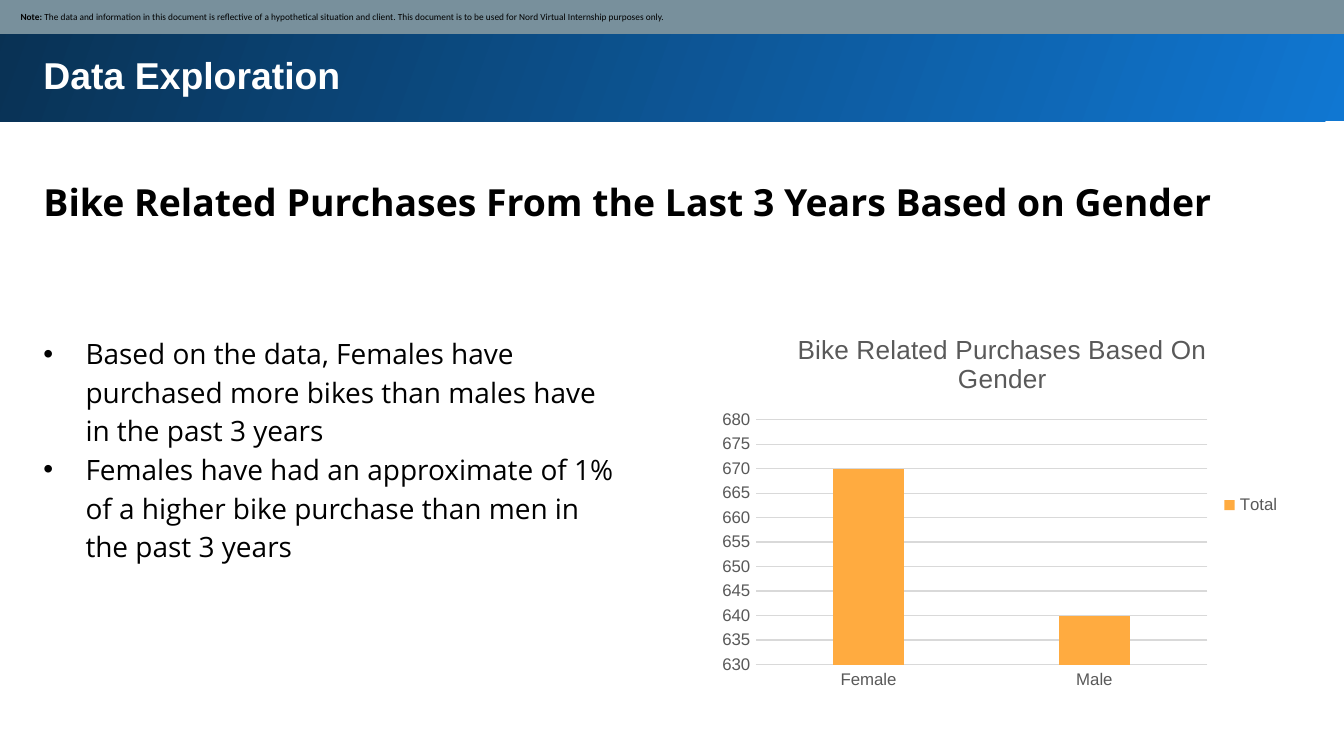
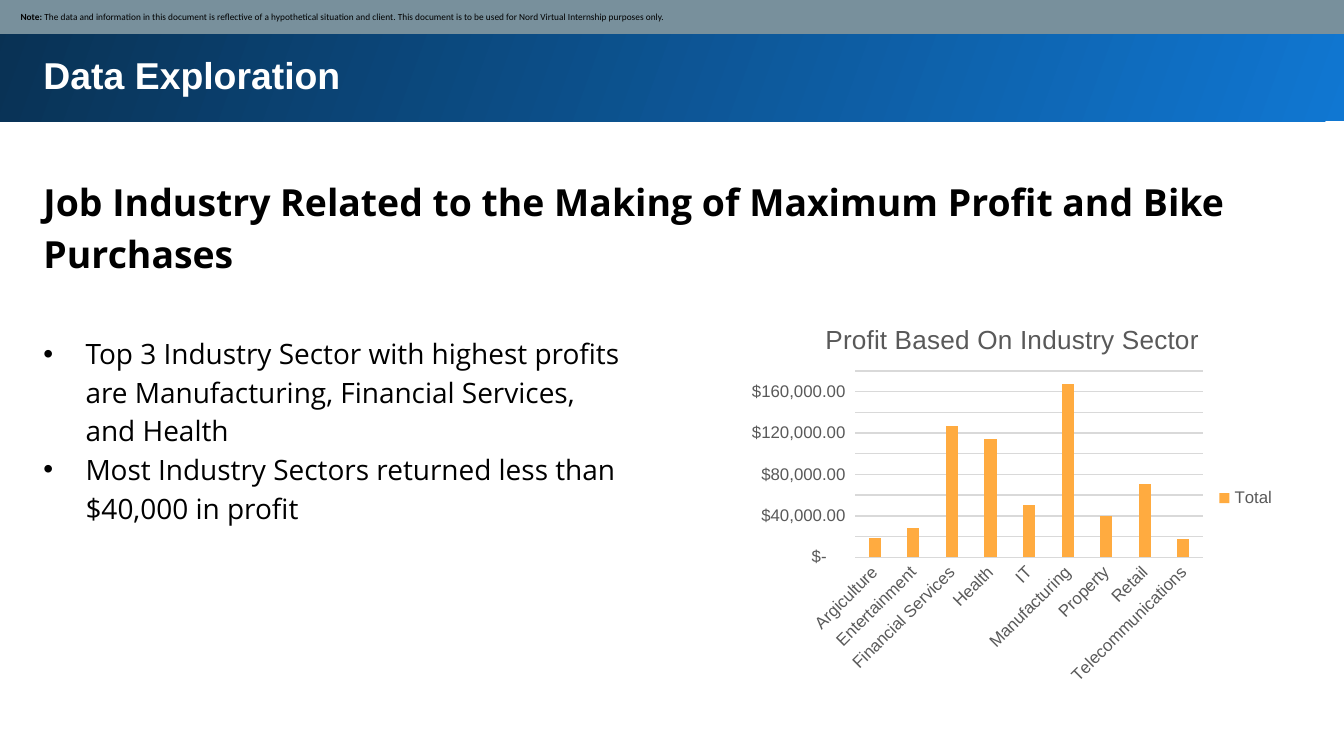
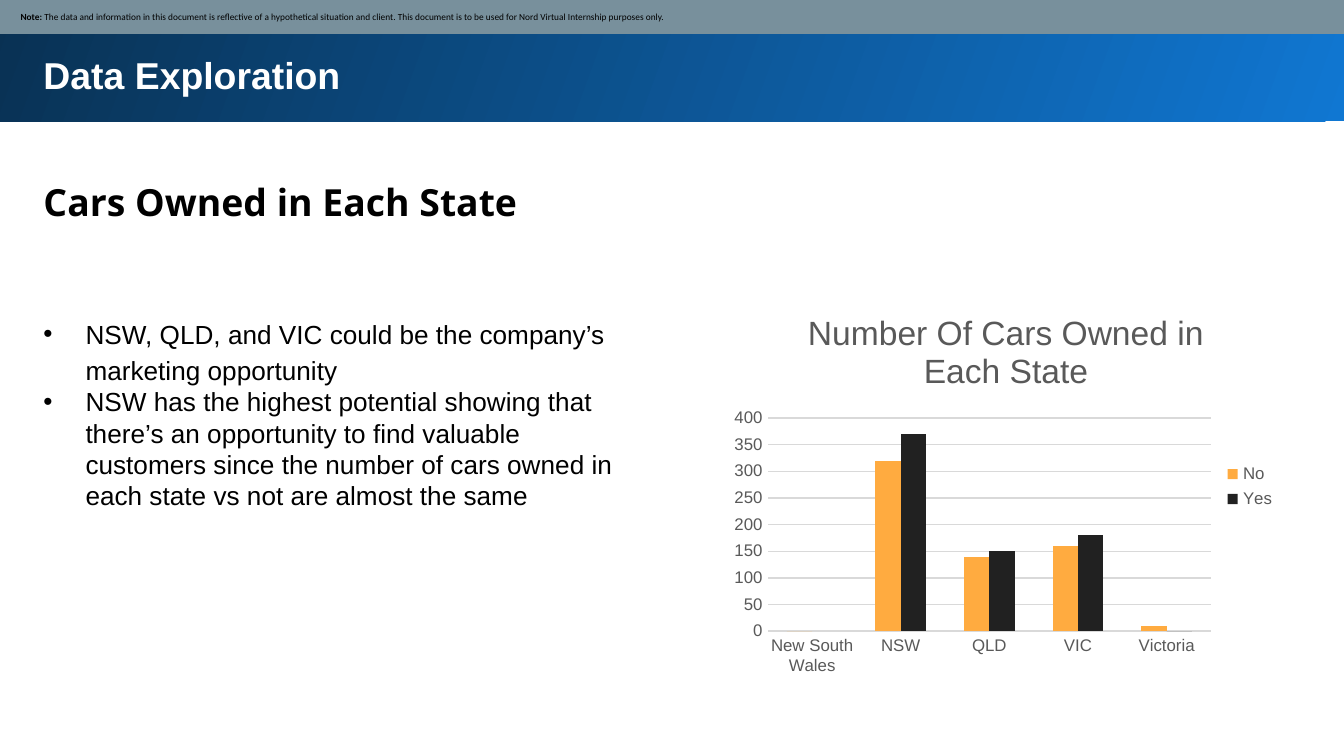
from lxml.etree import SubElement
from pptx import Presentation
from pptx.chart.data import CategoryChartData
from pptx.dml.color import RGBColor
from pptx.enum.chart import XL_CHART_TYPE, XL_LEGEND_POSITION, XL_TICK_MARK
from pptx.enum.shapes import MSO_SHAPE
from pptx.enum.text import MSO_ANCHOR, MSO_AUTO_SIZE, PP_ALIGN
from pptx.oxml.ns import qn
from pptx.util import Pt

COLORS = {
    "band_light": "1077D2",
    "band_dark": "093153",
    "note_band": "78909C",
    "white": "FFFFFF",
    "black": "000000",
    "label": "595959",
    "grid": "D9D9D9",
    "orange": "FFAB40",
    "charcoal": "212121",
}
SERIES_COLORS = ("orange", "charcoal")
HEADING_FONT = "Open Sans"
TITLE_FONT = "Arial"
NOTE_FONT = "Calibri"

TEXT_LEFT = 16.2
BAND_BOX = (-1.5, -1.5, 723.5, 66.5)
NOTE_BOX = (-0.5, -0.5, 722, 18.75)
TITLE_BOX = (TEXT_LEFT, 21, 674.5, 39)
NOTE = ("The data and information in this document is reflective of a hypothetical "
        "situation and client. This document is to be used for Nord Virtual "
        "Internship purposes only.")
DOLLARS = '_("$"* #,##0.00_);_("$"* \\(#,##0.00\\);_("$"* "-"??_);_(@_)'

PAGES = [
    {
        "heading": "Bike Related Purchases From the Last 3 Years Based on Gender",
        "heading_height": 40.5,
        "bullets": [
            "Based on the data, Females have purchased more bikes than males have "
            "in the past 3 years",
            "Females have had an approximate of 1% of a higher bike purchase than "
            "men in the past 3 years",
        ],
        "bullet_box": (TEXT_LEFT, 170.5, 325.5, 139),
        "bullet_style": {"font": HEADING_FONT, "size": 15, "spacings": (1.15, 1.15)},
        "chart_box": (380.7, 167.6, 312.5, 206),
        "chart": {
            "title": "Bike Related Purchases Based On Gender",
            "categories": ["Female", "Male"],
            "series": {"Total": [670, 640]},
            "scale": (630, 680, 5),
        },
    },
    {
        "heading": "Job Industry Related to the Making of Maximum Profit and Bike Purchases",
        "heading_height": 68.5,
        "bullets": [
            "Top 3 Industry Sector with highest profits are Manufacturing, "
            "Financial Services, and Health",
            "Most Industry Sectors returned less than $40,000 in profit",
        ],
        "bullet_box": (TEXT_LEFT, 170.5, 325.5, 118),
        "bullet_style": {"font": HEADING_FONT, "size": 15, "spacings": (1.15, 1.15)},
        "chart_box": (394.4, 162.4, 296, 209),
        "chart": {
            "title": "Profit Based On Industry Sector",
            "categories": ["Argiculture", "Entertainment", "Financial Services",
                           "Health", "IT", "Manufacturing", "Property", "Retail",
                           "Telecommunications"],
            "series": {"Total": [19000, 28000, 127000, 114000, 50000, 167000,
                                 40000, 71000, 18000]},
            "scale": (0, 180000, 20000),
            "number_format": DOLLARS,
            "label_angle": -45,
        },
    },
    {
        "heading": "Cars Owned in Each State",
        "heading_height": 40.5,
        "bullets": [
            "NSW, QLD, and VIC could be the company’s marketing opportunity",
            "NSW has the highest potential showing that there’s an opportunity to "
            "find valuable customers since the number of cars owned in each state "
            "vs not are almost the same",
        ],
        "bullet_box": (TEXT_LEFT, 160.8, 325.5, 124),
        "bullet_style": {"font": TITLE_FONT, "size": 14, "spacings": (1.15, 1)},
        "chart_box": (387.4, 155.2, 303, 211),
        "chart": {
            "title": "Number Of Cars Owned in Each State",
            "title_size": 18,
            "categories": ["New South Wales", "NSW", "QLD", "VIC", "Victoria"],
            "series": {"No": [0, 320, 140, 160, 10],
                       "Yes": [None, 370, 150, 180, 0]},
            "scale": (0, 400, 50),
            "gap": 150,
            "overlap": 0,
        },
    },
]


def color(name):
    return RGBColor.from_string(COLORS[name])


def points(box):
    return [Pt(length) for length in box]


def style_font(font, name, size, tone, bold=None):
    font.name = name
    font.size = Pt(size)
    font.color.rgb = color(tone)
    font.bold = bold


def add_band(page, box):
    band = page.shapes.add_shape(MSO_SHAPE.RECTANGLE, *points(box))
    band.shadow.inherit = False
    band.line.fill.background()
    return band


def add_text(page, box, lines, font, size, tone="black", bold=None, spacings=None):
    text_box = page.shapes.add_textbox(*points(box))
    frame = text_box.text_frame
    frame.word_wrap = True
    frame.auto_size = MSO_AUTO_SIZE.SHAPE_TO_FIT_TEXT
    frame.margin_left = frame.margin_right = Pt(7.2)
    frame.margin_top = frame.margin_bottom = Pt(7.2)
    frame.text = "\n".join(lines)
    for index, para in enumerate(frame.paragraphs):
        style_font(para.font, font, size, tone, bold)
        if spacings:
            para.line_spacing = spacings[index]
    return frame


def add_header(page):
    fill = add_band(page, BAND_BOX).fill
    fill.gradient()
    fill.gradient_angle = 160
    for stop, tone in zip(fill.gradient_stops, ("band_light", "band_dark")):
        stop.color.rgb = color(tone)
    add_text(page, TITLE_BOX, ["Data Exploration"], TITLE_FONT, 20, "white", True)


def add_note(page):
    band = add_band(page, NOTE_BOX)
    band.fill.solid()
    band.fill.fore_color.rgb = color("note_band")
    frame = band.text_frame
    frame.word_wrap = True
    frame.vertical_anchor = MSO_ANCHOR.MIDDLE
    frame.margin_left = Pt(11.5)
    frame.margin_right = frame.margin_top = frame.margin_bottom = Pt(3.6)
    para = frame.paragraphs[0]
    para.alignment = PP_ALIGN.LEFT
    style_font(para.font, NOTE_FONT, 5, "black")
    for text, bold in (("Note: ", True), (NOTE, False)):
        span = para.add_run()
        span.text = text
        span.font.bold = bold


def add_bullets(page, box, lines, style):
    frame = add_text(page, box, lines, **style)
    for para in frame.paragraphs:
        properties = para._p.get_or_add_pPr()
        properties.set("marL", str(Pt(22.5)))
        properties.set("indent", str(-Pt(22.5)))
        SubElement(properties, qn("a:buFont")).set("typeface", "Arial")
        SubElement(properties, qn("a:buChar")).set("char", "•")


def style_axis(axis):
    axis.major_tick_mark = axis.minor_tick_mark = XL_TICK_MARK.NONE
    style_font(axis.tick_labels.font, TITLE_FONT, 9, "label")


def style_line(line):
    line.color.rgb = color("grid")
    line.width = Pt(0.75)


def add_column_chart(page, box, title, categories, series, scale, title_size=14,
                     number_format="General", label_angle=None, gap=219, overlap=-27):
    data = CategoryChartData()
    data.categories = categories
    for name, values in series.items():
        data.add_series(name, values)
    frame = page.shapes.add_chart(XL_CHART_TYPE.COLUMN_CLUSTERED, *points(box), data)
    chart = frame.chart
    style_font(chart.font, TITLE_FONT, 10, "black")

    chart.has_title = True
    chart.chart_title.include_in_layout = False
    heading = chart.chart_title.text_frame
    heading.text = title
    style_font(heading.paragraphs[0].font, TITLE_FONT, title_size, "label", False)

    chart.has_legend = True
    chart.legend.position = XL_LEGEND_POSITION.RIGHT
    chart.legend.include_in_layout = False
    style_font(chart.legend.font, TITLE_FONT, 9, "label")

    category_axis, value_axis = chart.category_axis, chart.value_axis
    style_axis(category_axis)
    style_line(category_axis.format.line)
    if label_angle is not None:
        body = category_axis._element.find(qn("c:txPr")).find(qn("a:bodyPr"))
        body.set("rot", str(label_angle * 60000))
        body.set("vert", "horz")

    style_axis(value_axis)
    value_axis.format.line.fill.background()
    value_axis.has_major_gridlines = True
    style_line(value_axis.major_gridlines.format.line)
    value_axis.minimum_scale, value_axis.maximum_scale, value_axis.major_unit = scale
    value_axis.tick_labels.number_format = number_format
    value_axis.tick_labels.number_format_is_linked = False

    plot = chart.plots[0]
    plot.vary_by_categories = False
    plot.gap_width = gap
    plot.overlap = overlap
    for columns, tone in zip(plot.series, SERIES_COLORS):
        columns.invert_if_negative = False
        columns.format.fill.solid()
        columns.format.fill.fore_color.rgb = color(tone)


def add_exploration_page(deck, content):
    page = deck.slides.add_slide(deck.slide_layouts[6])
    add_header(page)
    add_text(page, (TEXT_LEFT, 85.2, 674.5, content["heading_height"]),
             [content["heading"]], HEADING_FONT, 20, bold=True, spacings=(1.15,))
    add_bullets(page, content["bullet_box"], content["bullets"], content["bullet_style"])
    add_note(page)
    add_column_chart(page, content["chart_box"], **content["chart"])


deck = Presentation()
deck.slide_width, deck.slide_height = Pt(720), Pt(405)
for content in PAGES:
    add_exploration_page(deck, content)
deck.save("out.pptx")
